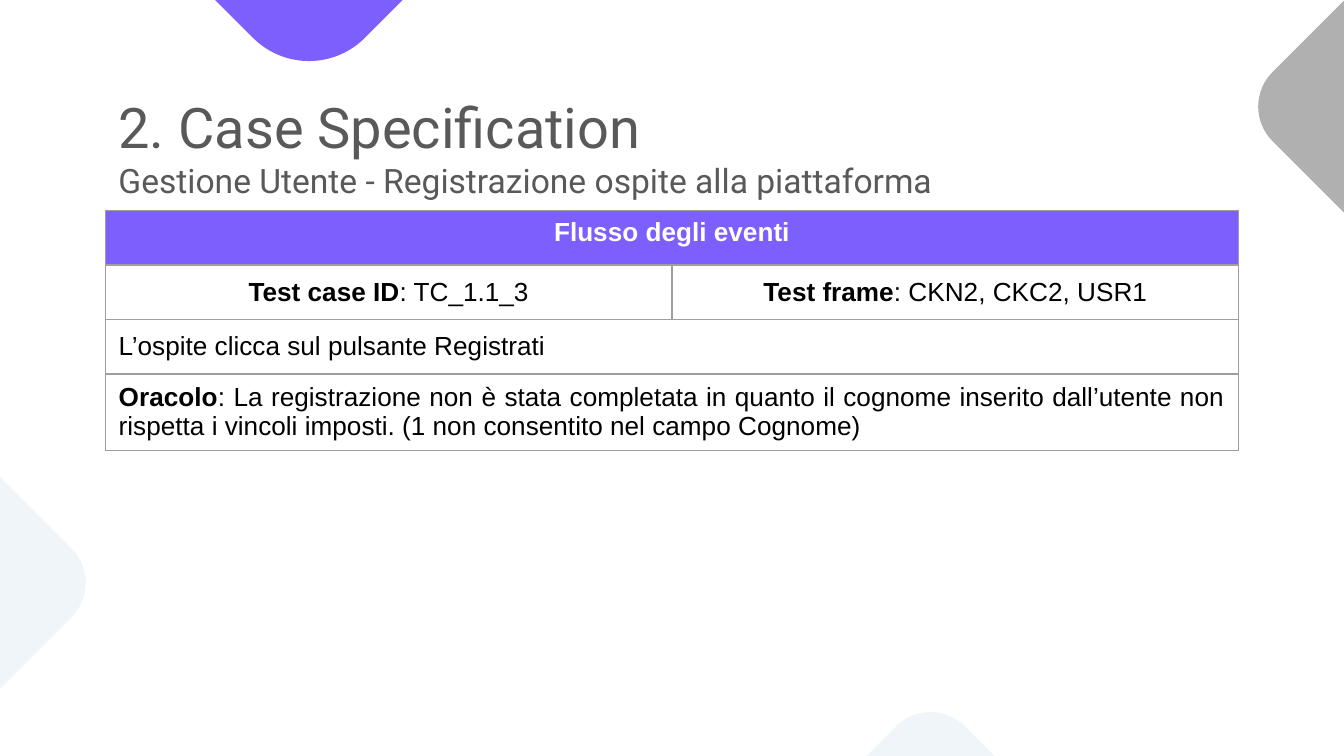
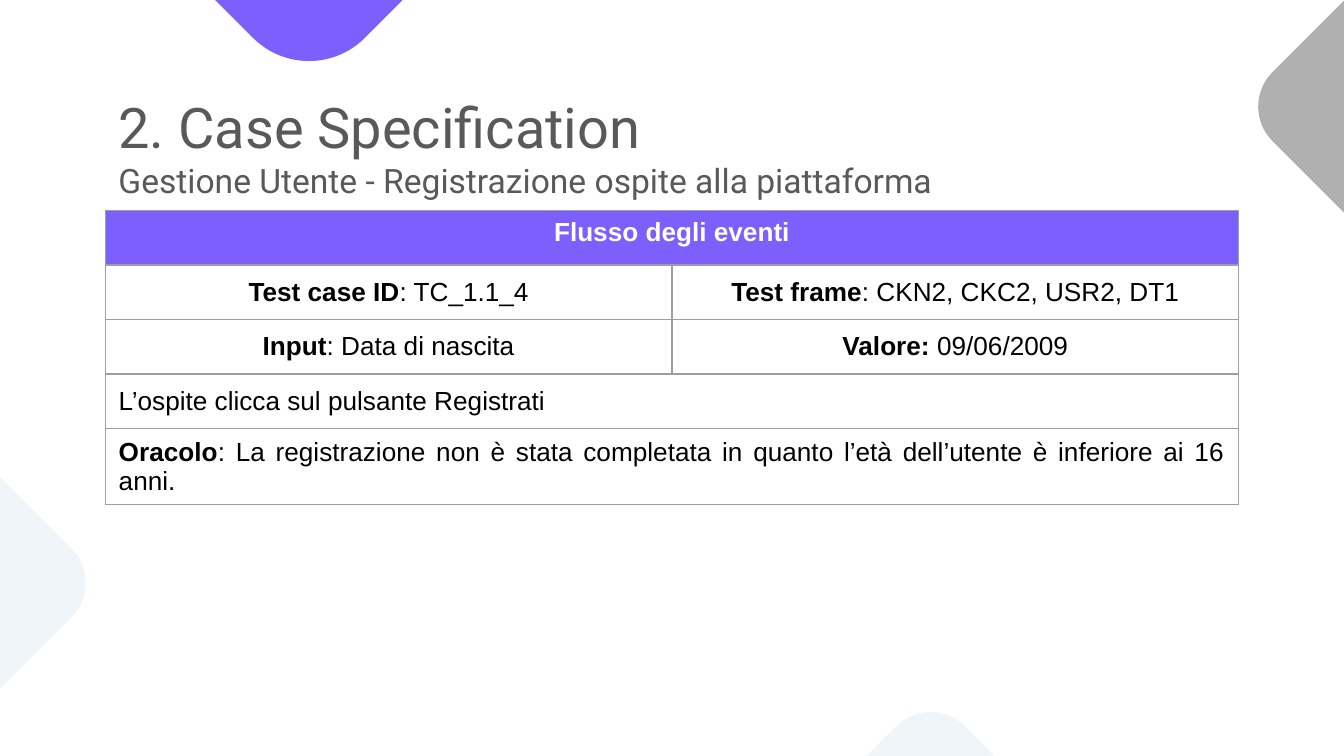
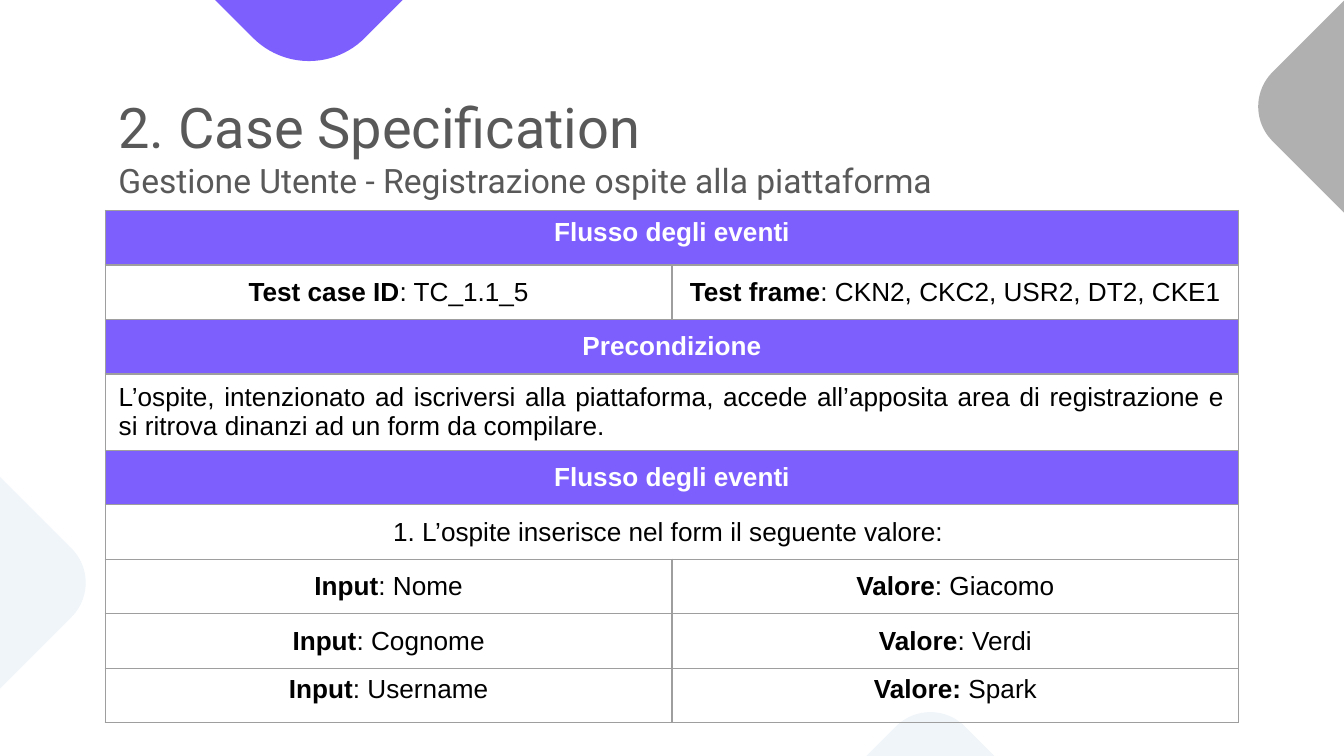
from lxml import etree
from pptx import Presentation
from pptx.dml.color import RGBColor
from pptx.enum import shapes, text
from pptx.oxml.ns import qn
from pptx.util import Cm, Pt

TITLE = "2. Case Speciﬁcation "
TOPIC = "Gestione Utente - Registrazione ospite alla piattaforma"

INK = {"violet": "7D5FFE", "gray": "B0B0B0", "pale": "F0F5FA", "title": "595959",
       "edge": "9E9E9E", "black": "000000", "white": "FFFFFF"}

# Tilted squares: left, top, side in cm, colour
TILES = [
    (1.37, -9.02, 8.94, "violet"),
    (24.54, -0.74, 5.51, "gray"),
    (-4.65, 8.26, 5.51, "pale"),
    (14.83, 14.22, 5.51, "pale"),
]

# Each row: kind, then one (bold, plain) pair per cell
FLOW = "Flusso degli eventi"
TOP = ("top head", (FLOW, ""))
CLICK = ("left", ("", "L’ospite clicca sul pulsante Registrati"))


def ident(num, frame):
    return ("pair", ("Test case ID", f": TC_1.1_{num}"), ("Test frame", f": {frame}"))


CASES = [
    [
        TOP,
        ident(3, "CKN2, CKC2, USR1"),
        CLICK,
        ("full", ("Oracolo", ": La registrazione non è stata completata in quanto il cognome "
                  "inserito dall’utente non rispetta i vincoli imposti. "
                  "(1 non consentito nel campo Cognome)")),
    ],
    [
        TOP,
        ident(4, "CKN2, CKC2, USR2, DT1"),
        ("pair", ("Input", ": Data di nascita"), ("Valore: ", "09/06/2009")),
        CLICK,
        ("full", ("Oracolo", ": La registrazione non è stata completata in quanto l’età "
                  "dell’utente è inferiore ai 16 anni.")),
    ],
    [
        TOP,
        ident(5, "CKN2, CKC2, USR2, DT2, CKE1"),
        ("head", ("Precondizione", "")),
        ("full", ("", "L’ospite, intenzionato ad iscriversi alla piattaforma, accede "
                  "all’apposita area di registrazione e si ritrova dinanzi ad un form "
                  "da compilare.")),
        ("head", (FLOW, "")),
        ("pair", ("", "1. L’ospite inserisce nel form il seguente valore: ")),
        ("pair", ("Input", ": Nome"), ("Valore", ": Giacomo")),
        ("pair", ("Input", ": Cognome"), ("Valore", ": Verdi")),
        ("top pair", ("Input", ": Username"), ("Valore: ", "Spark")),
    ],
]

LEFT, WIDE = 1.99, 21.42
TITLE_TOP, TITLE_HIGH = 1.5, 2.49
GRID_TOP, ROW = 3.98, 1.03
ALIGN = {"head": text.PP_ALIGN.CENTER, "pair": text.PP_ALIGN.CENTER,
         "left": text.PP_ALIGN.LEFT, "full": text.PP_ALIGN.JUSTIFY}


def rgb(name):
    return RGBColor.from_string(INK[name])


def write(para, words, size, face, ink, bold=False):
    run = para.add_run()
    run.text = words
    run.font.size = Pt(size)
    run.font.name = face
    run.font.bold = bold
    run.font.color.rgb = rgb(ink)


def add_tiles(slide):
    for left, top, side, ink in TILES:
        tile = slide.shapes.add_shape(shapes.MSO_SHAPE.ROUNDED_RECTANGLE,
                                      Cm(left), Cm(top), Cm(side), Cm(side))
        tile.adjustments[0] = 0.167
        tile.rotation = 315
        tile.shadow.inherit = False
        tile.fill.solid()
        tile.fill.fore_color.rgb = rgb(ink)
        tile.line.fill.background()


def add_title(slide):
    box = slide.shapes.add_textbox(Cm(LEFT), Cm(TITLE_TOP), Cm(WIDE), Cm(TITLE_HIGH))
    frame = box.text_frame
    frame.word_wrap = True
    frame.margin_left = frame.margin_right = Cm(0.25)
    frame.margin_top = frame.margin_bottom = Cm(0.25)
    para = frame.paragraphs[0]
    write(para, TITLE, 30, "Roboto", "title")
    para.add_line_break()
    write(para, TOPIC, 18, "Roboto", "title")


def add_edges(cell):
    """Draw the thin border on all four sides; call before setting the fill."""
    props = cell._tc.get_or_add_tcPr()
    for side in ("a:lnL", "a:lnR", "a:lnT", "a:lnB"):
        line = etree.SubElement(props, qn(side), w=str(Pt(0.75)))
        fill = etree.SubElement(line, qn("a:solidFill"))
        etree.SubElement(fill, qn("a:srgbClr"), val=INK["edge"])


def fill_cell(cell, kind, bold, plain):
    place, kind = kind.split() if " " in kind else ("mid", kind)
    if place == "mid":
        cell.vertical_anchor = text.MSO_ANCHOR.MIDDLE
    head = kind == "head"
    if head:
        cell.fill.solid()
        cell.fill.fore_color.rgb = rgb("violet")
    para = cell.text_frame.paragraphs[0]
    para.alignment = ALIGN[kind]
    for words, heavy in ((bold, True), (plain, False)):
        if words:
            write(para, words, 14, "Arial", "white" if head else "black", heavy)


def add_grid(slide, rows):
    grid = slide.shapes.add_table(len(rows), 2, Cm(LEFT), Cm(GRID_TOP),
                                  Cm(WIDE), Cm(ROW * len(rows))).table
    grid.first_row = grid.horz_banding = False
    for line in grid.rows:
        line.height = Cm(ROW)
    for cell in grid.iter_cells():
        add_edges(cell)
        cell.fill.background()
    for r, (kind, *cells) in enumerate(rows):
        if len(cells) == 1:
            grid.cell(r, 0).merge(grid.cell(r, 1))
        for c, (bold, plain) in enumerate(cells):
            fill_cell(grid.cell(r, c), kind, bold, plain)


def main():
    deck = Presentation()
    deck.slide_width, deck.slide_height = Cm(25.4), Cm(14.29)
    for rows in CASES:
        slide = deck.slides.add_slide(deck.slide_layouts[6])
        add_tiles(slide)
        add_title(slide)
        add_grid(slide, rows)
    deck.save("out.pptx")


if __name__ == "__main__":
    main()
